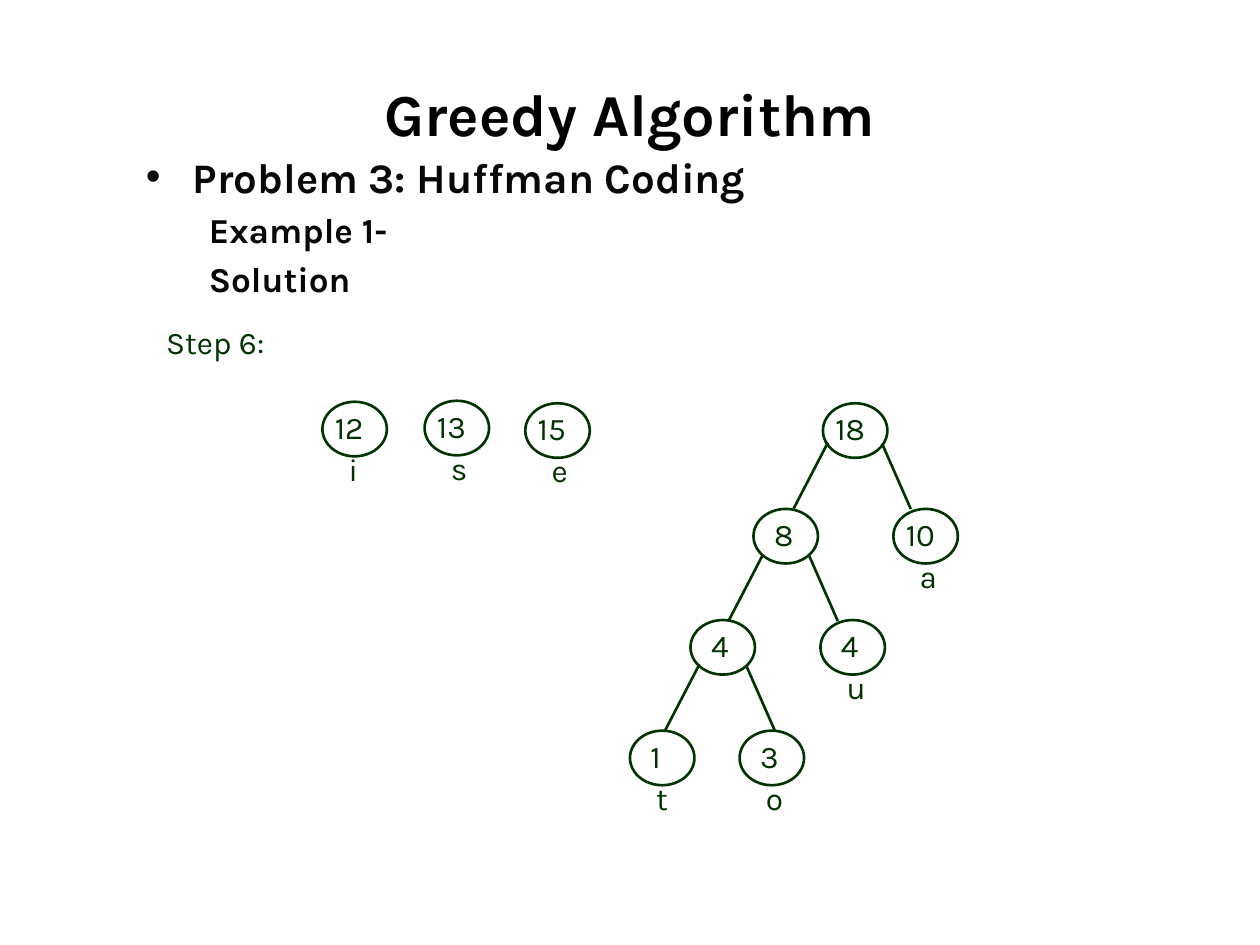
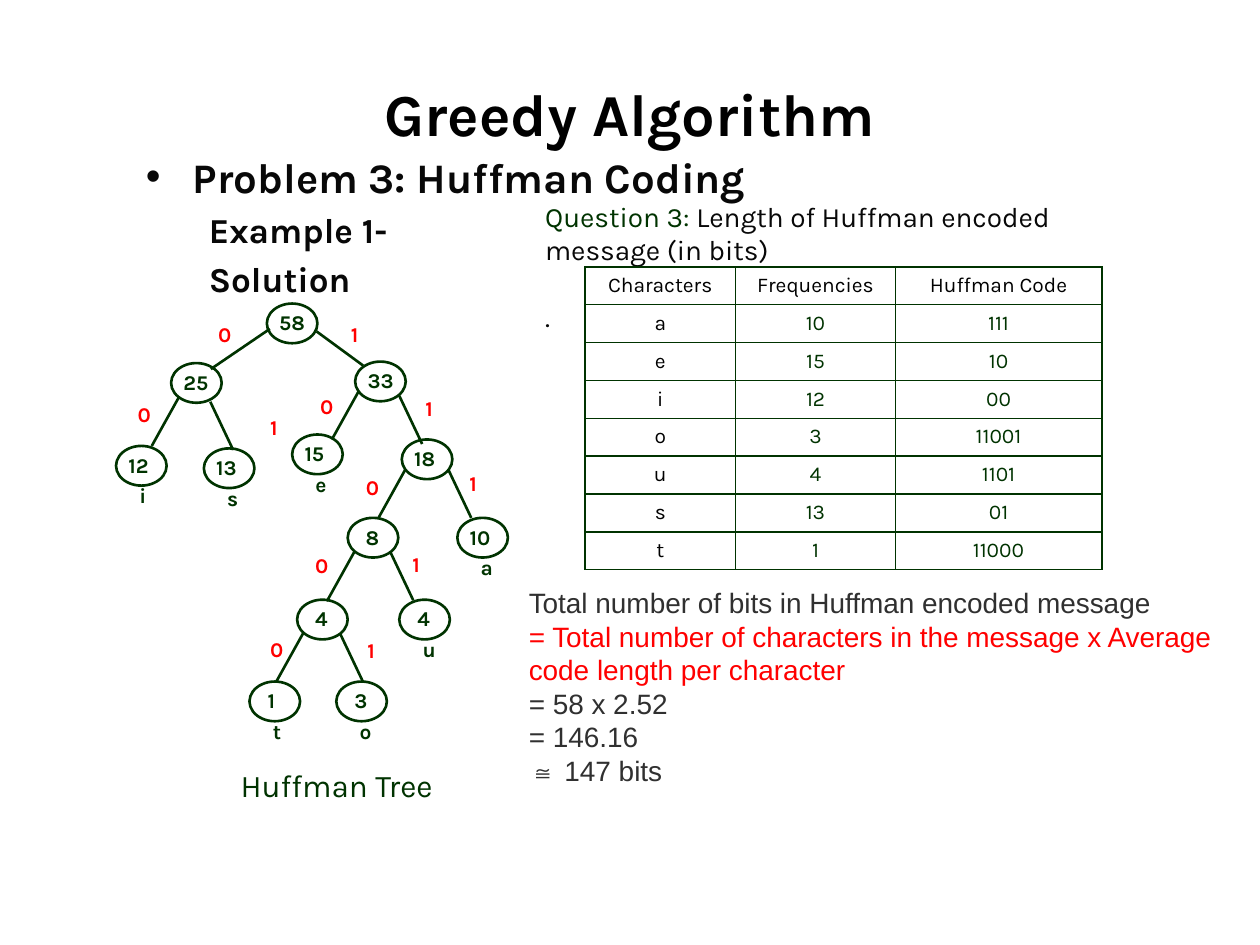
from lxml import etree
from pptx import Presentation
from pptx.dml.color import RGBColor
from pptx.enum.shapes import MSO_CONNECTOR as CONN, MSO_SHAPE as SHAPE
from pptx.enum.text import MSO_ANCHOR as ANCHOR, PP_ALIGN as ALIGN
from pptx.oxml.ns import qn
from pptx.util import Cm, Pt

GREEN = RGBColor(0x00, 0x33, 0x00)
RED = RGBColor(0xFF, 0x00, 0x00)
BLACK = RGBColor(0x00, 0x00, 0x00)
INK = RGBColor(0x08, 0x08, 0x08)
GREY = RGBColor(0x30, 0x30, 0x30)

TITLE = "Greedy Algorithm"
OUTLINE = [("Problem 3: Huffman Coding", 24), ("Example 1-", 20), ("Solution", 20)]

STEP_TREE = {
    "nodes": [
        (6.5, 8.1, "12", "i"), (8.56, 8.08, "13", "s"), (10.59, 8.13, "15", "e"),
        (16.59, 8.13, "18", ""), (15.19, 10.26, "8", ""), (18.01, 10.26, "10", "a"),
        (13.92, 12.5, "4", ""), (16.54, 12.5, "4", "u"),
        (12.7, 14.73, "1", "t"), (14.91, 14.73, "3", "o"),
    ],
    "edges": [
        ((-0.69, 1.33), [(16.69, 8.92), (15.37, 11.2), (14.1, 13.39)]),
        ((0.58, 1.32), [(17.78, 8.94), (16.31, 11.2), (15.04, 13.41)]),
    ],
    "bits": {},
}
STEP_STYLE = {"node": (1.3, 1.1), "value": (1.4, 1.02), "letter": (0.28, 0.84, 0.99, 1.02),
              "digit_shift": 0.16, "size": 18, "bold": False}

FULL_TREE = {
    "nodes": [
        (5.38, 6.12, "58", ""), (3.45, 7.32, "25", ""), (7.16, 7.29, "33", ""),
        (2.34, 8.99, "12", "i"), (4.11, 9.04, "13", "s"), (5.89, 8.76, "15", "e"),
        (8.1, 8.86, "18", ""), (7.01, 10.44, "8", ""), (9.22, 10.44, "10", "a"),
        (5.99, 12.09, "4", ""), (8.05, 12.09, "4", "u"),
        (5.03, 13.74, "1", "t"), (6.78, 13.74, "3", "o"),
    ],
    "edges": [
        ((-1.19, 0.81), [(5.44, 6.63)]),
        ((0.94, 0.69), [(6.38, 6.68)]),
        ((-0.55, 0.99), [(3.61, 8), (7.24, 7.87), (8.18, 9.45), (7.14, 11.13), (6.12, 12.75)]),
        ((0.46, 0.97), [(4.24, 8.1), (8.05, 7.98), (9.04, 9.47), (7.87, 11.13), (6.86, 12.78)]),
    ],
    "bits": {
        "0": [(4.06, 6.35), (6.12, 7.8), (2.44, 7.98), (7.04, 9.45), (6.02, 11.02), (5.11, 12.7)],
        "1": [(6.68, 6.35), (8.18, 7.85), (5.05, 8.23), (9.07, 9.37), (7.92, 11), (7.01, 12.73)],
    },
}
FULL_STYLE = {"node": (1.02, 0.8), "value": (1.12, 0.76), "letter": (0.22, 0.62, 0.79, 0.76),
              "digit_shift": 0.11, "size": 12, "bold": True}
BIT_SIZE = (0.94, 0.76)

QUESTION = [
    [("Question 3: ", GREEN), ("Length of Huffman encoded message (in bits)", INK)],
    [(".", INK)],
]
CODES = [
    ("Characters", "Frequencies", "Huffman Code"),
    ("a", "10", "111"),
    ("e", "15", "10"),
    ("i", "12", "00"),
    ("o", "3", "11001"),
    ("u", "4", "1101"),
    ("s", "13", "01"),
    ("t", "1", "11000"),
]
COLUMNS = (3.04, 3.22, 4.16)
ROW = 0.76
RESULT = [
    [("Total number of bits in Huffman encoded message", GREY)],
    [("= Total number of characters in the message x Average code length per character", RED)],
    [("= 58 x 2.52", GREY)],
    [("= 146.16", GREY)],
    [("≅ 147 bits", GREY)],
]


def fill_text(tf, content, size=18, color=GREEN, bold=False, font="Karla",
              align=ALIGN.LEFT, space=0):
    paragraphs = [[(content, color)]] if isinstance(content, str) else content
    for i, runs in enumerate(paragraphs):
        p = tf.add_paragraph() if i else tf.paragraphs[0]
        p.alignment = align
        if i and space:
            p.space_before = Pt(space)
        for text, run_color in runs:
            r = p.add_run()
            r.text = text
            r.font.name = font
            r.font.size = Pt(size)
            r.font.bold = bold
            r.font.color.rgb = run_color


def add_text(s, box, content, anchor=ANCHOR.TOP, shift=0, **style):
    tf = s.shapes.add_textbox(*map(Cm, box)).text_frame
    tf.word_wrap = True
    tf.vertical_anchor = anchor
    tf.margin_left += Cm(shift)
    fill_text(tf, content, **style)
    return tf


def add_heading(s):
    add_text(s, (1.27, 1.27, 22.86, 2.01), TITLE, size=34, color=BLACK, bold=True,
             align=ALIGN.CENTER, anchor=ANCHOR.MIDDLE)
    tf = add_text(s, (2.69, 2.92, 19.99, 5.21), [[(text, INK)] for text, _ in OUTLINE],
                  bold=True, align=ALIGN.JUSTIFY, space=4)
    for i, (p, (_, size)) in enumerate(zip(tf.paragraphs, OUTLINE)):
        p.runs[0].font.size = Pt(size)
        pPr = p._p.get_or_add_pPr()
        pPr.set("marL", str(Cm(1.27 if i else 0.95)))
        pPr.set("indent", str(Cm(0 if i else -0.95)))
        if i == 0:
            etree.SubElement(pPr, qn("a:buFont")).set("typeface", "Arial")
            etree.SubElement(pPr, qn("a:buChar")).set("char", "•")


def add_edge(s, x, y, dx, dy):
    line = s.shapes.add_connector(CONN.STRAIGHT, Cm(x), Cm(y), Cm(x + dx), Cm(y + dy))
    line.line.color.rgb = GREEN
    line.line.width = Pt(1.5)
    etree.SubElement(line._element.spPr, qn("a:effectLst"))


def add_node(s, x, y, value, letter, style):
    sp = s.shapes.add_shape(SHAPE.OVAL, *map(Cm, (x, y, *style["node"])))
    sp.shadow.inherit = False
    sp.fill.background()
    sp.line.color.rgb = GREEN
    sp.line.width = Pt(1.5)
    font = {"size": style["size"], "bold": style["bold"]}
    shift = style["digit_shift"] if len(value) == 1 else 0
    add_text(s, (x, y, *style["value"]), value, shift=shift, **font)
    if letter:
        dx, dy, w, h = style["letter"]
        add_text(s, (x + dx, y + dy, w, h), letter, **font)


def add_tree(s, tree, style):
    for node in tree["nodes"]:
        add_node(s, *node, style)
    for span, starts in tree["edges"]:
        for start in starts:
            add_edge(s, *start, *span)
    for bit, places in tree["bits"].items():
        for place in places:
            add_text(s, (*place, *BIT_SIZE), bit, size=12, color=RED, bold=True,
                     align=ALIGN.CENTER)


def add_borders(cell):
    tcPr = cell._tc.get_or_add_tcPr()
    for i, side in enumerate(("lnL", "lnR", "lnT", "lnB")):
        ln = etree.Element(qn("a:" + side), w=str(Pt(1)))
        fill = etree.SubElement(ln, qn("a:solidFill"))
        etree.SubElement(fill, qn("a:srgbClr")).set("val", str(GREEN))
        tcPr.insert(i, ln)


def add_code_table(s):
    frame = s.shapes.add_table(len(CODES), len(COLUMNS), Cm(11.79), Cm(5.38),
                               Cm(sum(COLUMNS)), Cm(ROW * len(CODES)))
    table = frame.table
    table.first_row = table.horz_banding = False
    for column, width in zip(table.columns, COLUMNS):
        column.width = Cm(width)
    for i, values in enumerate(CODES):
        table.rows[i].height = Cm(ROW)
        for j, value in enumerate(values):
            cell = table.cell(i, j)
            cell.fill.background()
            add_borders(cell)
            fill_text(cell.text_frame, value, size=12, align=ALIGN.CENTER,
                      color=GREEN if i and j else BLACK)


def add_slide(prs):
    s = prs.slides.add_slide(prs.slide_layouts[6])
    add_heading(s)
    return s


def main():
    prs = Presentation()
    prs.slide_width, prs.slide_height = Cm(25.4), Cm(19.05)

    s = add_slide(prs)
    add_text(s, (3.1, 6.38, 3, 1.02), "Step 6:")
    add_tree(s, STEP_TREE, STEP_STYLE)

    s = add_slide(prs)
    add_text(s, (4.6, 15.32, 4.67, 1.02), "Huffman Tree")
    add_tree(s, FULL_TREE, FULL_STYLE)
    add_text(s, (10.74, 3.89, 12.12, 3), QUESTION, size=16, space=19)
    add_code_table(s)
    add_text(s, (10.41, 11.68, 14.28, 4.37), RESULT, size=16, font="Arial")

    prs.save("out.pptx")


if __name__ == "__main__":
    main()
